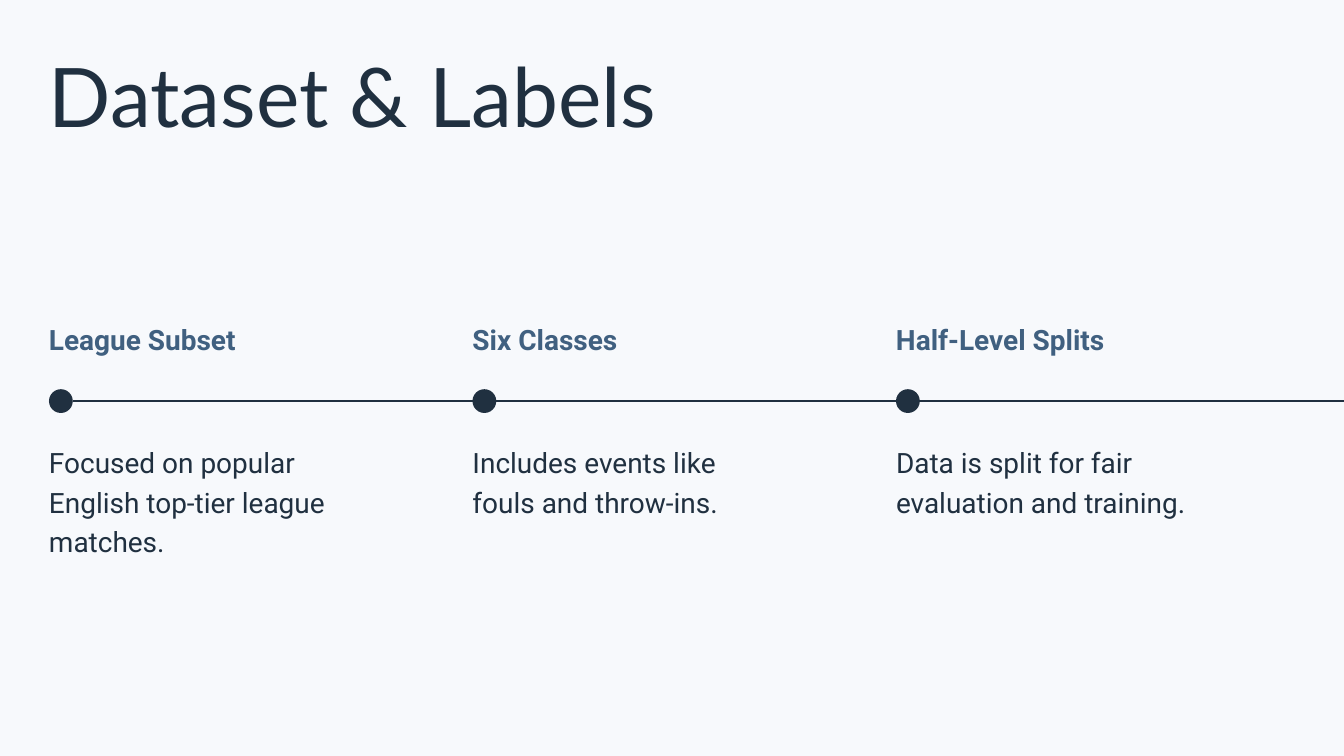
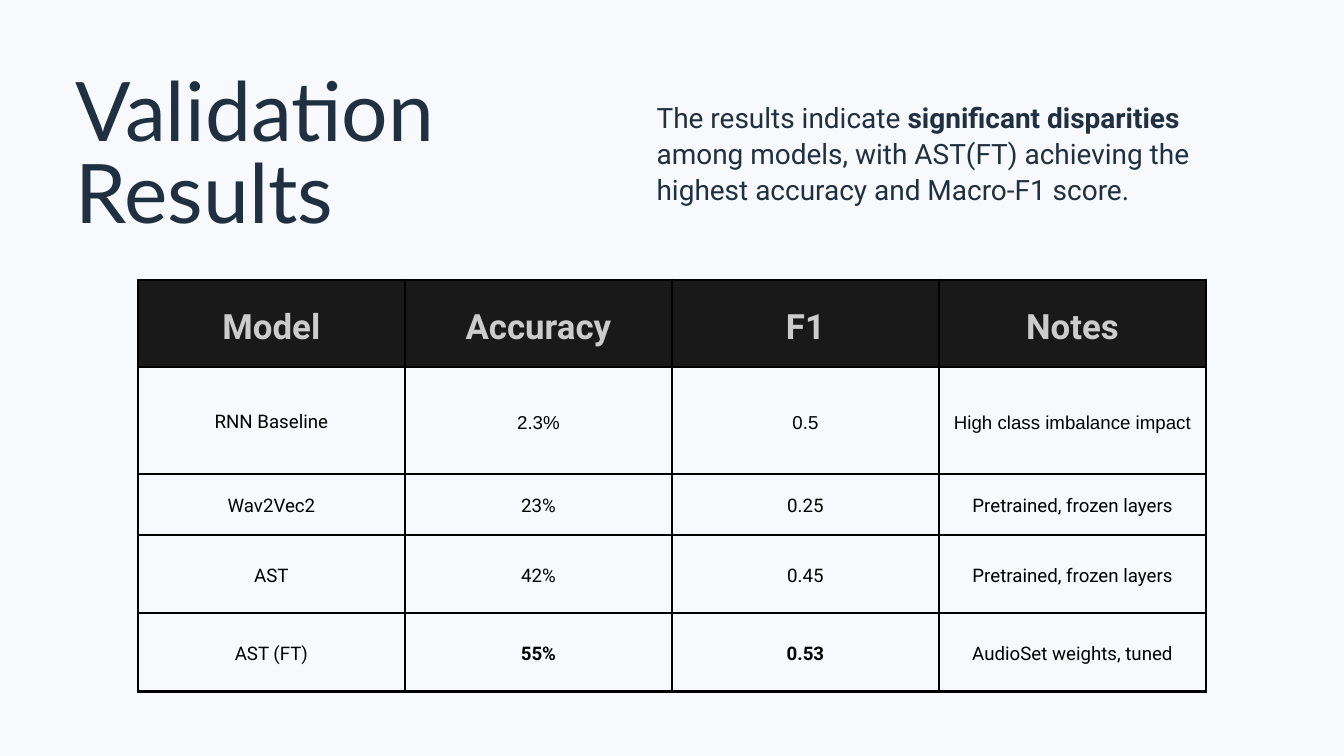
import pptx
import pptx.dml.color
import pptx.enum.shapes
import pptx.enum.text
import pptx.oxml
import pptx.oxml.ns
import pptx.util

PX = 9525  # EMU per px: the slide is 1920 x 1080 px
NAVY, STEEL, PALE = "203040", "406080", "F7F9FC"
BLACK, CHARCOAL, SILVER = "000000", "191919", "CCCCCC"

TITLE = {"name": "Lato", "size": 88, "bold": False, "color": NAVY, "line": 88}
HEADING = {"name": "Roboto", "size": 30, "bold": True, "color": STEEL, "line": 36}
BODY = {"name": "Roboto", "size": 30, "bold": False, "color": NAVY, "line": 42}
HEAD_CELL = {"name": "Roboto", "size": 37.3, "bold": True, "color": SILVER, "line": 52.2}
CELL = {"name": "Roboto", "size": 20, "bold": False, "color": BLACK, "line": 28}


def rgb(color):
    return pptx.dml.color.RGBColor.from_string(color)


def write(tf, runs, fmt, box=None):
    """Fill a text frame with one paragraph of (text, overrides) runs."""
    tf.word_wrap = True
    p = tf.paragraphs[0]
    p.line_spacing = pptx.util.Pt(fmt["line"])
    for text, changes in runs:
        style = {**fmt, **changes}
        r = p.add_run()
        r.text = text
        r.font.color.rgb = rgb(style["color"])
        for key, value in {"name": style["name"], "bold": style["bold"],
                           "size": pptx.util.Pt(style["size"])}.items():
            setattr(r.font, key, value)
    return p


prs = pptx.Presentation()
prs.slide_width, prs.slide_height = 1920 * PX, 1080 * PX
slides = [prs.slides.add_slide(prs.slide_layouts[6]) for _ in range(2)]
for s in slides:
    s.background.fill.solid()
    s.background.fill.fore_color.rgb = rgb(PALE)
labels, results = slides

# Timeline line, from the first dot to the slide edge
LEFT, STEP, DOT, AXIS = 70, 605, 34, 573
line = labels.shapes.add_connector(
    pptx.enum.shapes.MSO_CONNECTOR.STRAIGHT,
    (LEFT + DOT) * PX, AXIS * PX, 1920 * PX, AXIS * PX)
line.line.color.rgb = rgb(NAVY)
line.line.width = pptx.util.Pt(1.5)
line._element.spPr.append(pptx.oxml.parse_xml(
    f'<a:effectLst {pptx.oxml.ns.nsdecls("a")}/>'))

# Text of both slides: slide, left, top, width, height, format, runs
boxes = [
    (labels, LEFT, 88, 1478, 123, TITLE, [("Dataset & Labels", {})]),
    (results, 108, 108, 874, 239, TITLE, [("Validation Results", {})]),
    (results, 938, 139, 874, 156, {**BODY, "line": 39}, [
        ("The results indicate ", {}),
        ("significant disparities", {"bold": True}),
        (" among models, with AST(FT) achieving the highest accuracy "
         "and Macro-F1 score.", {})]),
]

# Timeline stages: a heading, a dot and a description each
stages = [
    ("League Subset", "Focused on popular English top-tier league matches."),
    ("Six Classes", "Includes events like fouls and throw-ins."),
    ("Half-Level Splits", "Data is split for fair evaluation and training."),
]
for i, (heading, description) in enumerate(stages):
    x = LEFT + i * STEP
    dot = labels.shapes.add_shape(
        pptx.enum.shapes.MSO_SHAPE.OVAL,
        x * PX, (AXIS - DOT // 2) * PX, DOT * PX, DOT * PX)
    dot.shadow.inherit = False
    dot.fill.solid()
    dot.fill.fore_color.rgb = rgb(NAVY)
    dot.line.fill.background()
    boxes.append((labels, x, 461, 300, 49, HEADING, [(heading, {})]))
    boxes.append((labels, x, 629, 420, 167, BODY, [(description, {})]))

for s, x, y, w, h, fmt, runs in boxes:
    tf = s.shapes.add_textbox(x * PX, y * PX, w * PX, h * PX).text_frame
    for side in ("left", "right", "top", "bottom"):
        setattr(tf, f"margin_{side}", 0)
    write(tf, runs, fmt)

# Results table
rows = [
    ("Model", "Accuracy", "F1", "Notes"),
    ("RNN Baseline", "2.3%", "0.5", "High class imbalance impact"),
    ("Wav2Vec2", "23%", "0.25", "Pretrained, frozen layers"),
    ("AST", "42%", "0.45", "Pretrained, frozen layers"),
    ("AST (FT)", "55%", "0.53", "AudioSet weights, tuned"),
]
heights = [124, 153, 87, 112, 112]
arial_cells = {(1, 1), (1, 2), (1, 3)}
best_cells = {(4, 1), (4, 2)}
table = results.shapes.add_table(
    len(rows), 4, 197 * PX, 400 * PX, 1526 * PX, sum(heights) * PX).table
table.horz_banding = False
for i, row in enumerate(rows):
    table.rows[i].height = heights[i] * PX
    for j, text in enumerate(row):
        cell = table.cell(i, j)
        cell.vertical_anchor = pptx.enum.text.MSO_ANCHOR.MIDDLE
        for side in ("left", "right", "top", "bottom"):
            setattr(cell, f"margin_{side}", 20 * PX)
        if i == 0:
            cell.fill.solid()
            cell.fill.fore_color.rgb = rgb(CHARCOAL)
        else:
            cell.fill.background()
        changes = {}
        if (i, j) in arial_cells:
            changes["name"] = "Arial"
        if (i, j) in best_cells:
            changes["bold"] = True
        p = write(cell.text_frame, [(text, changes)], CELL if i else HEAD_CELL)
        p.alignment = pptx.enum.text.PP_ALIGN.CENTER
        # Black borders come before the fill in the cell properties
        tcPr = cell._tc.get_or_add_tcPr()
        for k, edge in enumerate("LRTB"):
            tcPr.insert(k, pptx.oxml.parse_xml(
                f'<a:ln{edge} {pptx.oxml.ns.nsdecls("a")} w="{pptx.util.Pt(3)}">'
                f'<a:solidFill><a:srgbClr val="{BLACK}"/></a:solidFill></a:ln{edge}>'))

prs.save("out.pptx")
